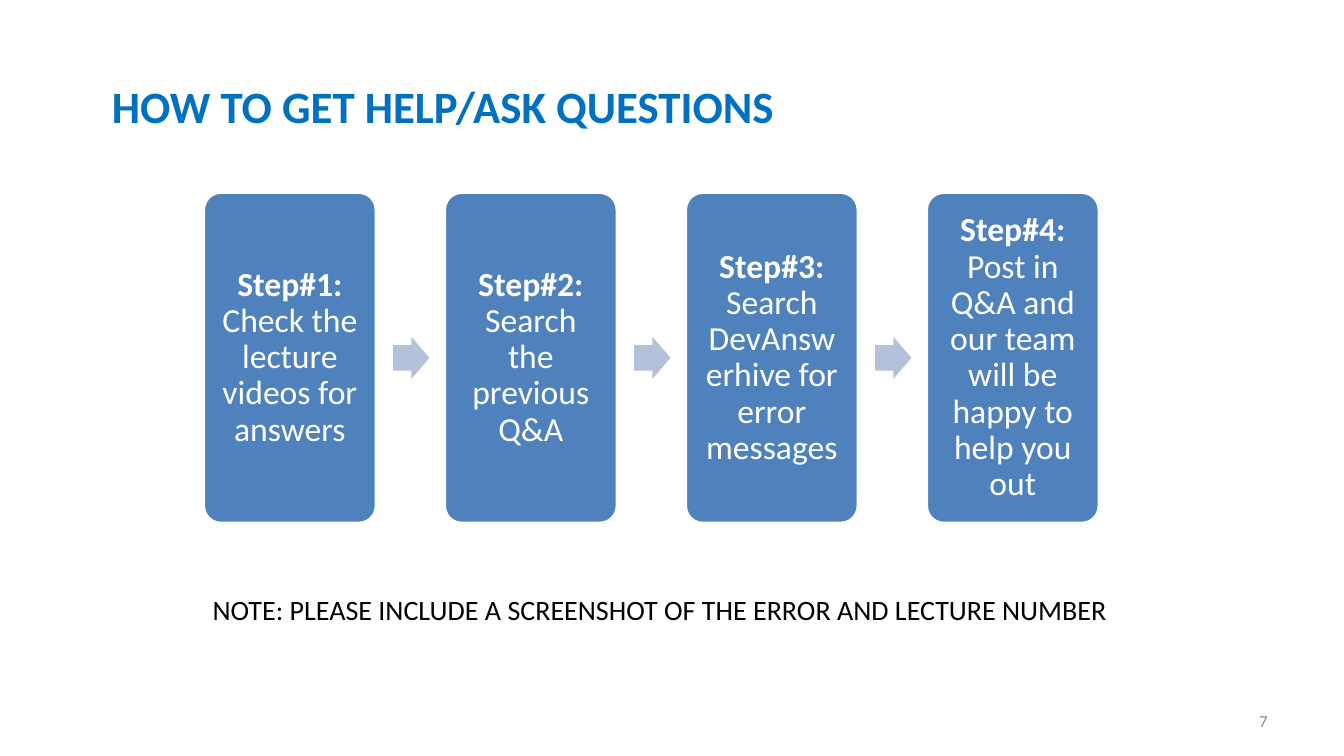
from dataclasses import dataclass

from pptx import Presentation
from pptx.dml.color import RGBColor
from pptx.enum.shapes import MSO_SHAPE
from pptx.enum.text import MSO_ANCHOR, MSO_AUTO_SIZE, PP_ALIGN
from pptx.shapes.autoshape import Shape
from pptx.slide import Slide
from pptx.text.text import _Paragraph
from pptx.util import Inches, Pt

ROUNDED = MSO_SHAPE.ROUNDED_RECTANGLE
ARROW = MSO_SHAPE.RIGHT_ARROW
MIDDLE = MSO_ANCHOR.MIDDLE
LEFT, CENTER, RIGHT = PP_ALIGN.LEFT, PP_ALIGN.CENTER, PP_ALIGN.RIGHT

FONT = "Calibri"
WHITE, BLACK, GREY = "FFFFFF", "000000", "8C8C8C"
TITLE_BLUE, CARD_BLUE, ARROW_BLUE = "0070C0", "4F81BD", "B3C1DB"

CARD_LEFT, CARD_TOP, CARD_WIDTH, CARD_HEIGHT = 2.02, 1.91, 1.71, 3.28
CARD_PITCH = 2.39
ARROW_OFFSET, ARROW_WIDTH, ARROW_HEIGHT = 1.88, 0.36, 0.42


@dataclass(frozen=True)
class Step:
    label: str
    advice: str


STEPS = [
    Step("Step#1: ", "Check the lecture videos for answers"),
    Step("Step#2: ", "Search the previous Q&A"),
    Step("Step#3: ", "Search DevAnswerhive for error messages"),
    Step("Step#4: ", "Post in Q&A and our team will be happy to help you out"),
]


def rgb(color: str) -> RGBColor:
    return RGBColor.from_string(color)


def add_run(paragraph: _Paragraph, text: str, size: float, color: str,
            bold: bool = False) -> None:
    run = paragraph.add_run()
    run.text = text
    run.font.name = FONT
    run.font.size = Pt(size)
    run.font.bold = bold
    run.font.color.rgb = rgb(color)


def add_filled(slide: Slide, kind: MSO_SHAPE, left: float, top: float,
               width: float, height: float, color: str) -> Shape:
    """Add a preset shape with a plain fill, no outline and no shadow."""
    shape = slide.shapes.add_shape(
        kind, Inches(left), Inches(top), Inches(width), Inches(height))
    shape.shadow.inherit = False
    shape.fill.solid()
    shape.fill.fore_color.rgb = rgb(color)
    shape.line.fill.background()
    return shape


def add_card(slide: Slide, step: Step, left: float) -> None:
    card = add_filled(slide, ROUNDED, left, CARD_TOP, CARD_WIDTH, CARD_HEIGHT, CARD_BLUE)
    card.adjustments[0] = 0.1
    card.line.color.rgb = rgb(WHITE)
    card.line.width = Pt(2)
    frame = card.text_frame
    frame.word_wrap = True
    frame.vertical_anchor = MIDDLE
    frame.margin_left = frame.margin_right = Inches(0.1)
    frame.margin_top = frame.margin_bottom = Inches(0.1)
    sentence = frame.paragraphs[0]
    sentence.alignment = CENTER
    sentence.line_spacing = 0.9
    add_run(sentence, step.label, 24, WHITE, bold=True)
    add_run(sentence, step.advice, 24, WHITE)


def add_arrow(slide: Slide, left: float) -> None:
    top = CARD_TOP + (CARD_HEIGHT - ARROW_HEIGHT) / 2
    arrow = add_filled(slide, ARROW, left, top, ARROW_WIDTH, ARROW_HEIGHT, ARROW_BLUE)
    arrow.adjustments[0] = 0.6
    arrow.adjustments[1] = 0.5


def add_title(slide: Slide, text: str) -> None:
    title = slide.shapes.title
    title.left, title.top = Inches(1.01), Inches(0.36)
    title.width, title.height = Inches(9.82), Inches(1.45)
    title.text_frame.auto_size = MSO_AUTO_SIZE.NONE
    title.text_frame.vertical_anchor = MIDDLE
    heading = title.text_frame.paragraphs[0]
    heading.alignment = LEFT
    heading.line_spacing = 0.9
    add_run(heading, text, 32, TITLE_BLUE, bold=True)


def add_note(slide: Slide, text: str) -> None:
    note = slide.shapes.add_textbox(Inches(2.01), Inches(5.83), Inches(9.29), Inches(0.44))
    note.text_frame.word_wrap = False
    add_run(note.text_frame.paragraphs[0], text, 20, BLACK)


def add_page_number(slide: Slide, number: str) -> None:
    page = slide.shapes.add_textbox(Inches(9.56), Inches(6.95), Inches(3.11), Inches(0.4))
    page.text_frame.word_wrap = True
    page.text_frame.vertical_anchor = MIDDLE
    page.text_frame.paragraphs[0].alignment = RIGHT
    add_run(page.text_frame.paragraphs[0], number, 12, GREY)


def main() -> None:
    deck = Presentation()
    deck.slide_width, deck.slide_height = Inches(13.33), Inches(7.5)
    slide = deck.slides.add_slide(deck.slide_layouts.get_by_name("Title Only"))

    add_title(slide, "HOW TO GET HELP/ASK QUESTIONS")
    for index, step in enumerate(STEPS):
        left = CARD_LEFT + index * CARD_PITCH
        add_card(slide, step, left)
        if index < len(STEPS) - 1:
            add_arrow(slide, left + ARROW_OFFSET)
    add_note(slide, "NOTE: PLEASE INCLUDE A SCREENSHOT OF THE ERROR AND LECTURE NUMBER")
    add_page_number(slide, "7")

    deck.save("out.pptx")


if __name__ == "__main__":
    main()
